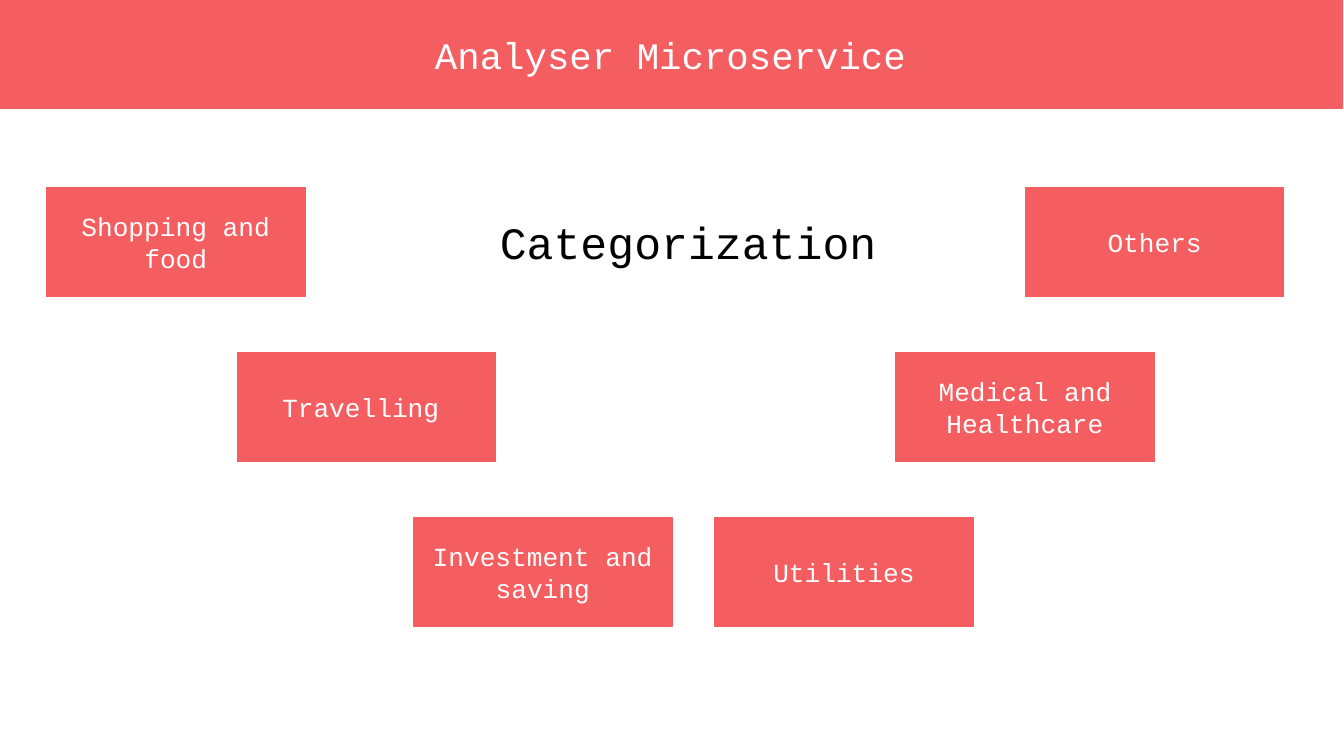
from dataclasses import dataclass

from pptx import Presentation
from pptx.dml.color import RGBColor
from pptx.enum import shapes, text
from pptx.util import Pt


@dataclass(frozen=True)
class Theme:
    font: str = "Courier New"
    coral: RGBColor = RGBColor(0xF5, 0x5E, 0x61)
    white: RGBColor = RGBColor(0xFF, 0xFF, 0xFF)
    black: RGBColor = RGBColor(0, 0, 0)
    title: int = 20
    heading: int = 24
    label: int = 14


theme = Theme()


def write(sp, wording, size, color):
    tf = sp.text_frame
    tf.text = wording
    tf.word_wrap = True
    tf.margin_left = tf.margin_right = tf.margin_top = tf.margin_bottom = Pt(7.2)
    p = tf.paragraphs[0]
    p.alignment = text.PP_ALIGN.CENTER
    font = p.runs[0].font
    font.name, font.size, font.color.rgb = theme.font, Pt(size), color


def add_block(s, x, y, width, wording, size):
    """Add a coral rectangle with white text; every block has the same height."""
    sp = s.shapes.add_shape(shapes.MSO_SHAPE.RECTANGLE, Pt(x), Pt(y), Pt(width), Pt(58.3))
    sp.shadow.inherit = False
    sp.fill.solid()
    sp.fill.fore_color.rgb = theme.coral
    sp.line.color.rgb = theme.coral
    sp.line.width = Pt(0.75)
    write(sp, wording, size, theme.white)
    sp.text_frame.vertical_anchor = text.MSO_ANCHOR.MIDDLE
    return sp


prs = Presentation()
prs.slide_width, prs.slide_height = Pt(720), Pt(405)
s = prs.slides.add_slide(prs.slide_layouts[6])

add_block(s, -0.7, 0, 720, "Analyser Microservice", theme.title)

heading = s.shapes.add_textbox(Pt(257), Pt(108), Pt(223.2), Pt(43.9))
write(heading, "Categorization", theme.heading, theme.black)
heading.text_frame.auto_size = text.MSO_AUTO_SIZE.SHAPE_TO_FIT_TEXT

# Rows of a V: left block and right block, from the top down
rows = [
    ((25, "Shopping and food"), (549.4, "Others")),
    ((127.2, "Travelling"), (480, "Medical and Healthcare")),
    ((221.6, "Investment and saving"), (383, "Utilities")),
]
for i, row in enumerate(rows):
    for x, category in row:
        sp = add_block(s, x, 100.6 + 88.3 * i, 138.4, category, theme.label)
        if category == "Travelling":
            sp.text_frame.paragraphs[0].alignment = text.PP_ALIGN.LEFT
            sp.text_frame.margin_left = Pt(24)

prs.save("out.pptx")
